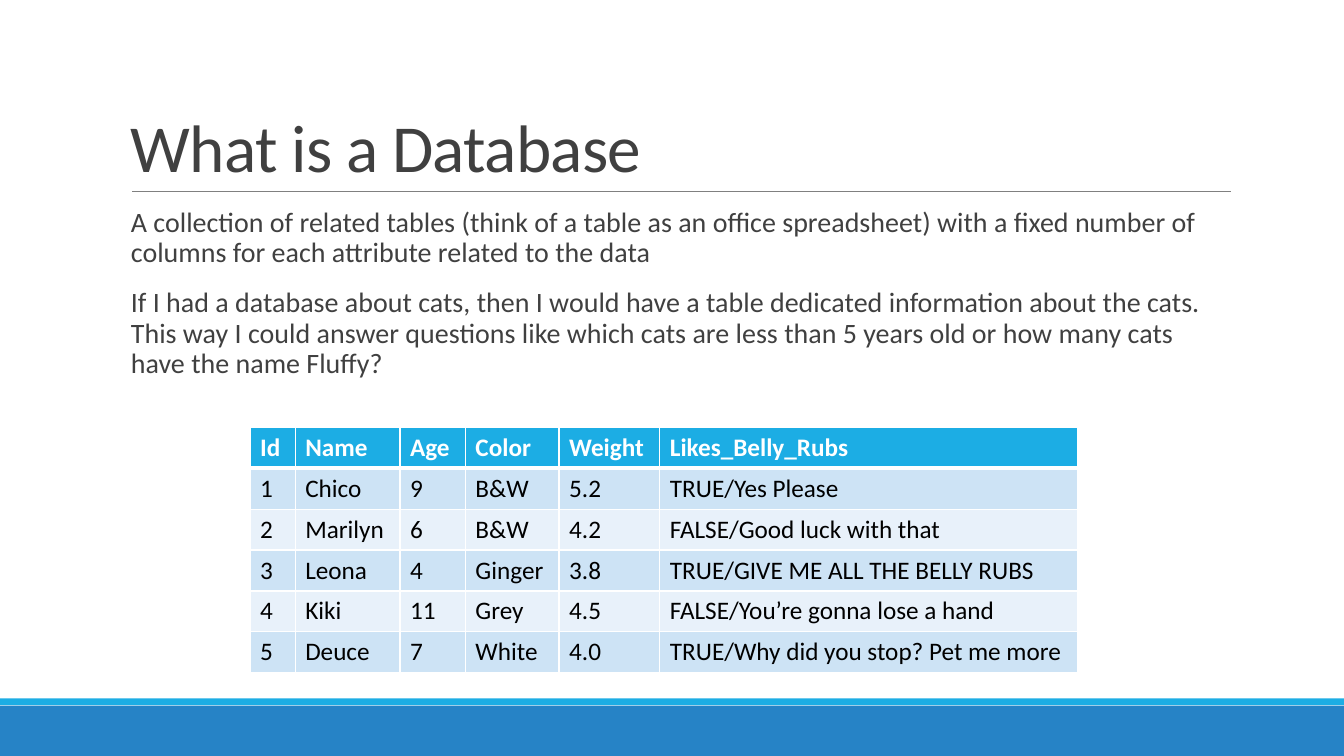
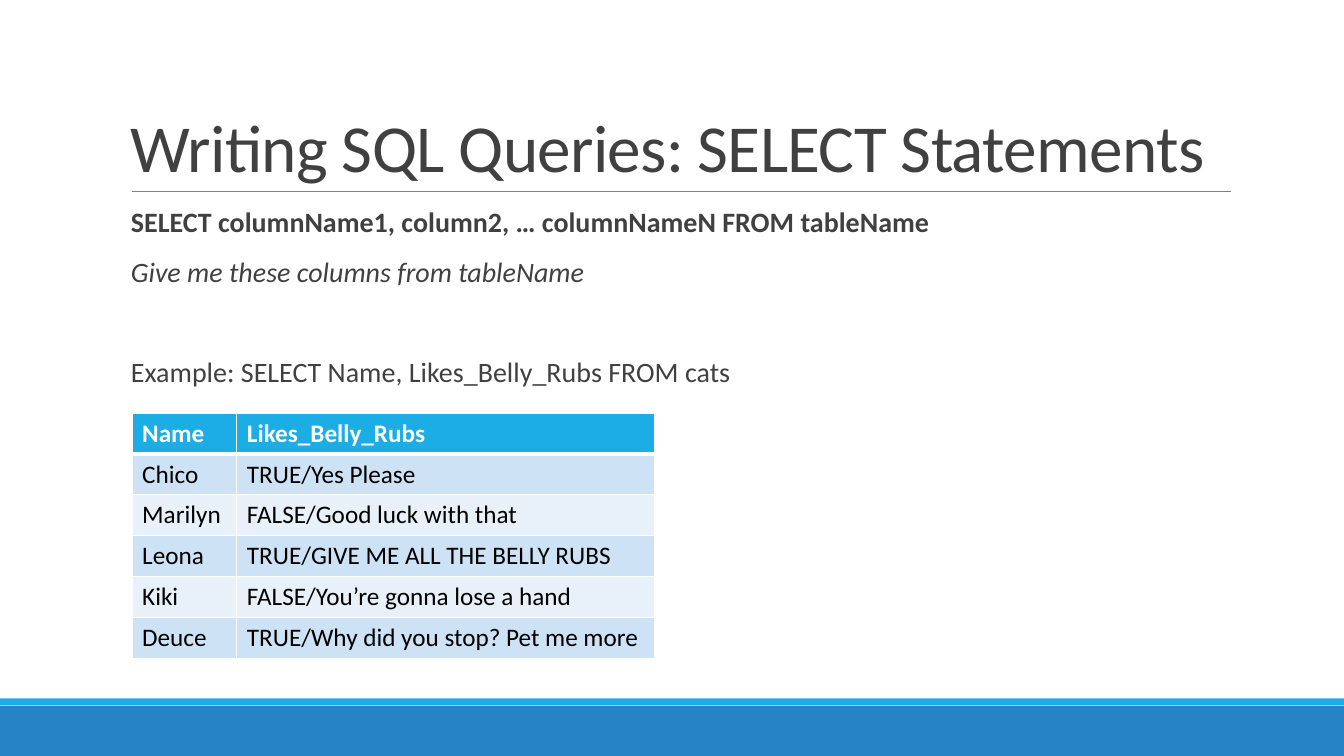
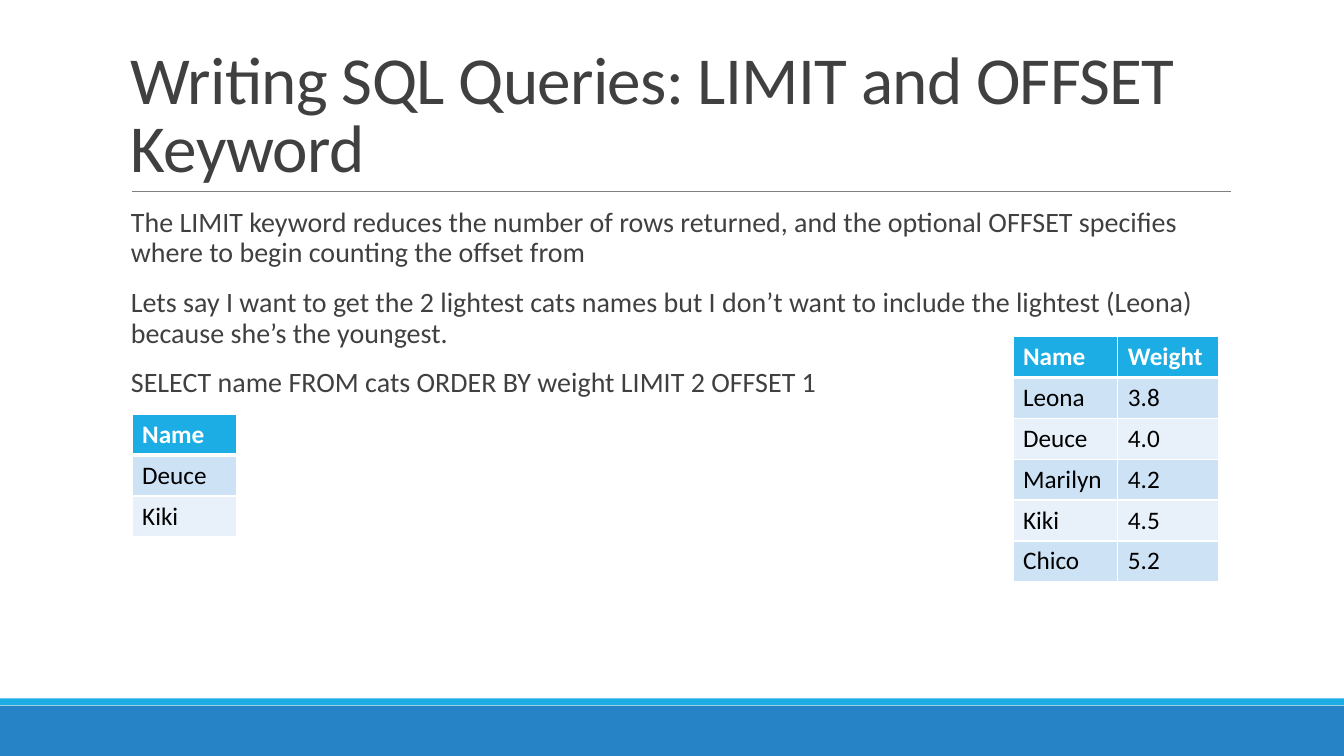
"""Build three slides that introduce databases and SQL queries with a table of cats."""
import lxml.etree
import pptx
import pptx.dml.color
import pptx.enum.shapes
import pptx.enum.text
import pptx.oxml.ns
import pptx.util

Cm = pptx.util.Cm
Pt = pptx.util.Pt
RGBColor = pptx.dml.color.RGBColor
qn = pptx.oxml.ns.qn

FONT = "Calibri"
BLUE = RGBColor(0x26, 0x83, 0xC6)
CYAN = RGBColor(0x1C, 0xAD, 0xE4)
GREY = RGBColor(0x80, 0x80, 0x80)
DARK = RGBColor(0x40, 0x40, 0x40)
BLACK = RGBColor(0x00, 0x00, 0x00)
WHITE = RGBColor(0xFF, 0xFF, 0xFF)
ROW_FILLS = [RGBColor(0xE8, 0xF1, 0xFA), RGBColor(0xCD, 0xE3, 0xF5)]

SLIDE_WIDTH = 33.87
TEXT_LEFT = 3.05
TEXT_WIDTH = 27.94
RULE_LEFT = 3.33
ROW_HEIGHT = 1.03
COLUMN_WIDTHS = {
    "Id": 1.14, "Name": 2.64, "Age": 1.65, "Color": 2.36,
    "Weight": 2.54, "Likes_Belly_Rubs": 10.52,
}
CATS = [
    ["1", "Chico", "9", "B&W", "5.2", "TRUE/Yes Please"],
    ["2", "Marilyn", "6", "B&W", "4.2", "FALSE/Good luck with that"],
    ["3", "Leona", "4", "Ginger", "3.8", "TRUE/GIVE ME ALL THE BELLY RUBS"],
    ["4", "Kiki", "11", "Grey", "4.5", "FALSE/You’re gonna lose a hand"],
    ["5", "Deuce", "7", "White", "4.0", "TRUE/Why did you stop? Pet me more"],
]
BY_WEIGHT = sorted(CATS, key=lambda cat: cat[4])

LESSONS = [
    {
        "title": "What is a Database",
        "body_height": 13.06,
        "body": [
            ("A collection of related tables (think of a table as an office spreadsheet) "
             "with a fixed number of columns for each attribute related to the data", {}),
            ("If I had a database about cats, then I would have a table dedicated "
             "information about the cats. This way I could answer questions like which "
             "cats are less than 5 years old or how many cats have the name Fluffy?", {}),
        ],
        "tables": [(6.3, 10.77, list(COLUMN_WIDTHS), CATS)],
    },
    {
        "title": "Writing SQL Queries: SELECT Statements",
        "body_height": 11.18,
        "body": [
            ("SELECT columnName1, column2, … columnNameN FROM tableName", {"bold": True}),
            ("Give me these columns from tableName", {"italic": True}),
            ("Example: SELECT Name, Likes_Belly_Rubs FROM cats", {"before": 48}),
        ],
        "tables": [(RULE_LEFT, 10.41, ["Name", "Likes_Belly_Rubs"],
                    [[cat[1], cat[5]] for cat in CATS])],
    },
    {
        "title": "Writing SQL Queries: LIMIT and OFFSET Keyword",
        "body_height": 12.4,
        "body": [
            ("The LIMIT keyword reduces the number of rows returned, and the optional "
             "OFFSET specifies where to begin counting the offset from", {}),
            ("Lets say I want to get the 2 lightest cats names but I don’t want to "
             "include the lightest (Leona) because she’s the youngest.", {}),
            ("SELECT name FROM cats ORDER BY weight LIMIT 2 OFFSET 1", {}),
        ],
        "tables": [
            (RULE_LEFT, 10.44, ["Name"], [["Deuce"], ["Kiki"]]),
            (25.53, 8.48, ["Name", "Weight"], [[cat[1], cat[4]] for cat in BY_WEIGHT]),
        ],
    },
]


def write(paragraph, text, size=20, color=DARK, bold=False, italic=False,
          line=None, before=0, after=0, tracking=0):
    """Put formatted text into a paragraph."""
    paragraph.line_spacing = line
    paragraph.space_before = Pt(before)
    paragraph.space_after = Pt(after)
    run = paragraph.add_run()
    run.text = text
    run.font.name = FONT
    run.font.size = Pt(size)
    run.font.color.rgb = color
    run.font.bold = bold
    run.font.italic = italic
    if tracking:
        run._r.get_or_add_rPr().set("spc", str(int(tracking * 100)))


def draw_border(cell, side, width):
    """Draw one white side of a table cell."""
    border = lxml.etree.SubElement(cell._tc.get_or_add_tcPr(), qn("a:ln" + side),
                                   w=str(Pt(width)))
    paint = lxml.etree.SubElement(border, qn("a:solidFill"))
    lxml.etree.SubElement(paint, qn("a:srgbClr"), val=str(WHITE))


deck = pptx.Presentation()
deck.slide_width = Cm(SLIDE_WIDTH)
deck.slide_height = Cm(19.05)

for lesson in LESSONS:
    slide = deck.slides.add_slide(deck.slide_layouts[6])

    for top, height, color in [(17.78, 1.27, BLUE), (17.6, 0.17, CYAN)]:
        band = slide.shapes.add_shape(pptx.enum.shapes.MSO_SHAPE.RECTANGLE,
                                      0, Cm(top), Cm(SLIDE_WIDTH), Cm(height))
        band.shadow.inherit = False
        band.fill.solid()
        band.fill.fore_color.rgb = color
        band.line.fill.background()

    rule = slide.shapes.add_connector(pptx.enum.shapes.MSO_CONNECTOR.STRAIGHT,
                                      Cm(RULE_LEFT), Cm(4.82), Cm(31.01), Cm(4.82))
    rule.line.color.rgb = GREY
    rule.line.width = Pt(0.5)
    lxml.etree.SubElement(rule._element.spPr, qn("a:effectLst"))

    title = slide.shapes.add_textbox(Cm(TEXT_LEFT), Cm(0.79),
                                     Cm(TEXT_WIDTH), Cm(4.04)).text_frame
    title.word_wrap = True
    title.vertical_anchor = pptx.enum.text.MSO_ANCHOR.BOTTOM
    write(title.paragraphs[0], lesson["title"], size=48, line=0.85, tracking=-0.5)

    body = slide.shapes.add_textbox(Cm(TEXT_LEFT), Cm(5.13), Cm(TEXT_WIDTH),
                                    Cm(lesson["body_height"])).text_frame
    body.word_wrap = True
    for index, (text, style) in enumerate(lesson["body"]):
        paragraph = body.add_paragraph() if index else body.paragraphs[0]
        spacing = {"line": 0.9, "before": 12 if index else 0, "after": 2}
        write(paragraph, text, **{**spacing, **style})

    for left, top, headings, records in lesson["tables"]:
        rows = [headings] + records
        widths = [COLUMN_WIDTHS[heading] for heading in headings]
        grid = slide.shapes.add_table(len(rows), len(headings), Cm(left), Cm(top),
                                      Cm(sum(widths)), Cm(ROW_HEIGHT * len(rows))).table
        for column, width in zip(grid.columns, widths):
            column.width = Cm(width)
        for r, row in enumerate(rows):
            grid.rows[r].height = Cm(ROW_HEIGHT)
            heading_row = r == 0
            for c, text in enumerate(row):
                cell = grid.cell(r, c)
                draw_border(cell, "L", 1)
                draw_border(cell, "R", 1)
                draw_border(cell, "T", 3 if r == 1 else 1)
                draw_border(cell, "B", 3 if heading_row else 1)
                cell.fill.solid()
                cell.fill.fore_color.rgb = CYAN if heading_row else ROW_FILLS[r % 2]
                write(cell.text_frame.paragraphs[0], text, size=18, bold=heading_row,
                      color=WHITE if heading_row else BLACK)

deck.save("out.pptx")
